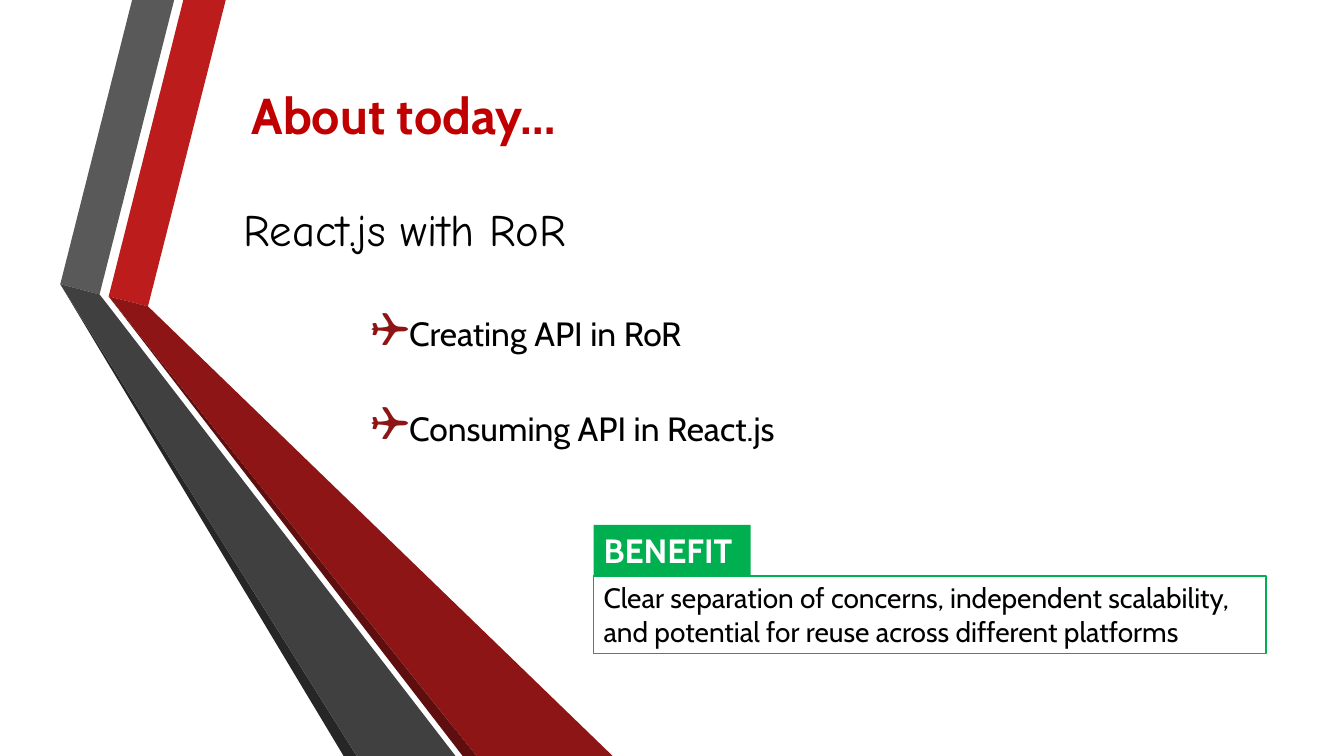
from lxml import etree
from pptx import Presentation
from pptx import util as u
from pptx.dml.color import RGBColor
from pptx.enum import shapes, text
from pptx.oxml import ns

COLORS = {
    "red": "BC1C1C", "red_mid": "8D1515", "red_dark": "5E0E0E",
    "gray": "595959", "gray_mid": "404040", "gray_dark": "262626",
    "title": "C00000", "green": "00B050", "black": "000000", "white": "FFFFFF",
}

RIBBONS = [
    ("red", [(2.74, 7.47), (3.73, 7.72), (5.69, 0), (4.62, 0)]),
    ("gray", [(2.51, 7.42), (4.39, 0), (3.33, 0), (1.52, 7.16)]),
    ("gray_dark", [(1.52, 7.16), (8.66, 19.05), (8.99, 19.05)]),
    ("red_dark", [(12.01, 19.05), (2.74, 7.47), (11.66, 19.05)]),
    ("red_mid", [(2.74, 7.47), (12.01, 19.05), (15.44, 19.05), (3.73, 7.72)]),
    ("gray_mid", [(11.48, 19.05), (2.69, 7.65), (2.51, 7.42), (1.52, 7.16), (8.99, 19.05)]),
]


def rgb(name):
    return RGBColor.from_string(COLORS[name])


def add_run(p, words, size, color, font="Cabin", bold=False):
    r = p.add_run()
    r.text = words
    r.font.name = font
    r.font.size = u.Pt(size)
    r.font.bold = bold
    r.font.color.rgb = rgb(color)


def add_label(s, x, y, w, h, wrap=True):
    sp = s.shapes.add_textbox(u.Cm(x), u.Cm(y), u.Cm(w), u.Cm(h))
    sp.text_frame.word_wrap = wrap
    return sp.text_frame


def add_panel(s, x, y, w, h, fill, line=None):
    sp = s.shapes.add_shape(shapes.MSO_SHAPE.RECTANGLE, u.Cm(x), u.Cm(y), u.Cm(w), u.Cm(h))
    sp.shadow.inherit = False
    sp.fill.solid()
    sp.fill.fore_color.rgb = rgb(fill)
    if line:
        sp.line.color.rgb = rgb(line)
        sp.line.width = u.Pt(1.25)
    else:
        sp.line.fill.background()
    tf = sp.text_frame
    tf.word_wrap = True
    tf.vertical_anchor = text.MSO_ANCHOR.TOP
    tf.paragraphs[0].alignment = text.PP_ALIGN.LEFT
    return tf


def set_checkbox_bullet(p):
    pPr = p._p.get_or_add_pPr()
    pPr.set("marL", str(u.Cm(0.95)))
    pPr.set("indent", str(u.Cm(-0.95)))
    color = etree.SubElement(pPr, ns.qn("a:buClr"))
    etree.SubElement(color, ns.qn("a:srgbClr"), val=COLORS["red_mid"])
    etree.SubElement(pPr, ns.qn("a:buSzPct"), val="145000")
    etree.SubElement(pPr, ns.qn("a:buFont"), typeface="Wingdings")
    etree.SubElement(pPr, ns.qn("a:buChar"), char="❑")


def draw_ribbons(s, x, y):
    for color, points in RIBBONS:
        corners = [(u.Cm(x + px), u.Cm(y + py)) for px, py in points]
        builder = s.shapes.build_freeform(*corners[0])
        builder.add_line_segments(corners[1:], close=True)
        sp = builder.convert_to_shape()
        sp.shadow.inherit = False
        sp.fill.solid()
        sp.fill.fore_color.rgb = rgb(color)
        sp.line.fill.background()


def draw_heading(s, x, y, w):
    tf = add_label(s, x, y, w, 1.65)
    tf.vertical_anchor = text.MSO_ANCHOR.BOTTOM
    p = tf.paragraphs[0]
    p.alignment = text.PP_ALIGN.RIGHT
    add_run(p, "About today…", 36, "title", bold=True)
    tf = add_label(s, x + 0.66, y + 2.84, w, 1.63, wrap=False)
    tf.auto_size = text.MSO_AUTO_SIZE.SHAPE_TO_FIT_TEXT
    add_run(tf.paragraphs[0], "React.js with RoR", 32, "black", "Comic Neue")


def draw_topics(s, x, y, w, step):
    for i, topic in enumerate(["Creating API in RoR", "Consuming API in React.js"]):
        p = add_label(s, x, y + i * step, w, 1.19).paragraphs[0]
        set_checkbox_bullet(p)
        p.space_after = u.Pt(6)
        add_run(p, topic, 24, "black")


def draw_benefit(s, x, y, w, h):
    tab_h = 1.28
    tf = add_panel(s, x, y + tab_h, w, h - tab_h, "white", "green")
    add_run(tf.paragraphs[0], "Clear separation of concerns, independent scalability, "
            "and potential for reuse across different platforms", 20, "black")
    tf = add_panel(s, x, y, 3.96, tab_h, "green")
    add_run(tf.paragraphs[0], "BENEFIT", 24, "white", bold=True)


def main():
    prs = Presentation()
    prs.slide_width, prs.slide_height = u.Cm(33.87), u.Cm(19.05)
    s = prs.slides.add_slide(prs.slide_layouts[6])
    draw_ribbons(s, 0, 0)
    draw_heading(s, 5.23, 2.11, 9.04)
    draw_topics(s, 9.09, 7.77, 16.92, 2.39)
    draw_benefit(s, 14.96, 13.23, 16.94, 3.24)
    prs.save("out.pptx")


if __name__ == "__main__":
    main()
